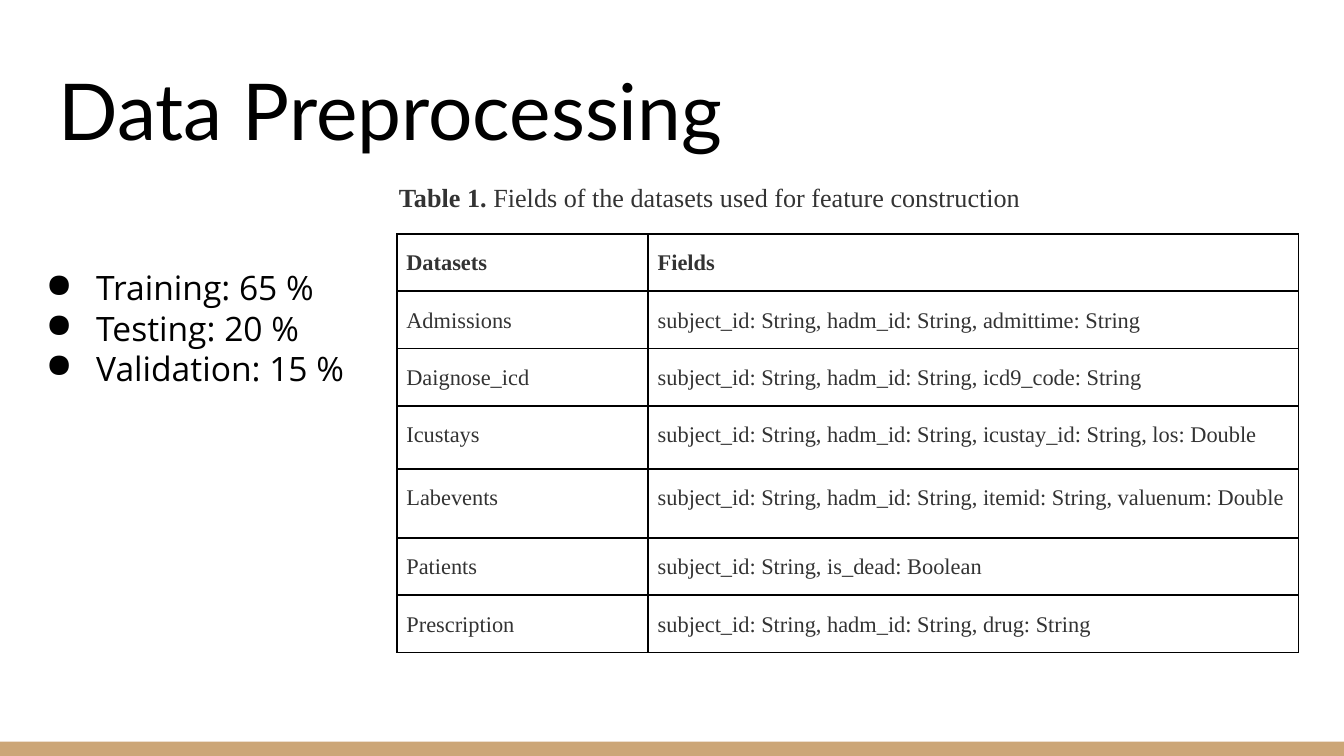
from lxml.etree import SubElement
from pptx import Presentation
from pptx.dml.color import RGBColor
from pptx.enum.shapes import MSO_SHAPE
from pptx.enum.text import MSO_ANCHOR
from pptx.oxml import parse_xml
from pptx.oxml.ns import nsdecls, qn
from pptx.util import Cm, Pt

BLACK = RGBColor(0x00, 0x00, 0x00)
CHARCOAL = RGBColor(0x33, 0x33, 0x33)
TAN = RGBColor(0xCC, 0xA6, 0x77)
SERIF = "Times New Roman"

FIELDS = [
    ("Datasets", "Fields"),
    ("Admissions", "subject_id: String, hadm_id: String, admittime: String"),
    ("Daignose_icd", "subject_id: String, hadm_id: String, icd9_code: String"),
    ("Icustays", "subject_id: String, hadm_id: String, icustay_id: String, los: Double"),
    ("Labevents", "subject_id: String, hadm_id: String, itemid: String, valuenum: Double"),
    ("Patients", "subject_id: String, is_dead: Boolean"),
    ("Prescription", "subject_id: String, hadm_id: String, drug: String"),
]
COLUMN_WIDTHS = [4.75, 12.29]
ROW_HEIGHT = 1.05
TALL_ROWS = {"Icustays": 1.19, "Labevents": 1.3}
SPLITS = [("Training", 65), ("Testing", 20), ("Validation", 15)]


def set_font(paragraph, name, size, color, bold=None):
    font = paragraph.font
    font.name, font.size, font.bold = name, Pt(size), bold
    font.color.rgb = color


def add_text_frame(slide, left, top, width, height, anchor=MSO_ANCHOR.TOP):
    frame = slide.shapes.add_textbox(Cm(left), Cm(top), Cm(width), Cm(height)).text_frame
    frame.word_wrap = True
    frame.vertical_anchor = anchor
    frame.margin_left = frame.margin_right = Cm(0.25)
    frame.margin_top = frame.margin_bottom = Cm(0.25)
    return frame


def add_footer_band(slide):
    band = slide.shapes.add_shape(MSO_SHAPE.RECTANGLE, 0, Cm(14.02), Cm(25.4), Cm(0.27))
    band.shadow.inherit = False
    band.fill.solid()
    band.fill.fore_color.rgb = TAN
    band.line.fill.background()


def add_title(slide, text):
    title = add_text_frame(slide, 0.86, 0.89, 23.67, 2.31, MSO_ANCHOR.BOTTOM).paragraphs[0]
    title.text = text
    set_font(title, "Lato", 42, BLACK)


def add_caption(slide, label, description):
    caption = add_text_frame(slide, 7.29, 3.18, 12.7, 1.3).paragraphs[0]
    caption.add_run().text = label
    caption.runs[0].font.bold = True
    caption.add_run().text = description
    set_font(caption, SERIF, 14, CHARCOAL)


def add_bullet(paragraph):
    properties = paragraph._p.get_or_add_pPr()
    properties.set("marL", str(Cm(1.27)))
    properties.set("indent", str(-Cm(0.95)))
    bullet_color = SubElement(properties, qn("a:buClr"))
    SubElement(bullet_color, qn("a:srgbClr"), val=str(BLACK))
    SubElement(properties, qn("a:buChar"), char="●")


def add_split_list(slide):
    frame = add_text_frame(slide, 0.3, 4.8, 7.19, 3.2)
    for index, (name, percent) in enumerate(SPLITS):
        split = frame.add_paragraph() if index else frame.paragraphs[0]
        split.text = f"{name}: {percent} %"
        add_bullet(split)
        set_font(split, "Open Sans", 18, BLACK)


def add_borders(cell):
    properties = cell._tc.get_or_add_tcPr()
    for position, side in enumerate(("lnL", "lnR", "lnT", "lnB")):
        border = parse_xml(
            f'<a:{side} {nsdecls("a")} w="{Pt(1)}"><a:solidFill>'
            f'<a:srgbClr val="{BLACK}"/></a:solidFill></a:{side}>'
        )
        properties.insert(position, border)


def fill_cell(cell, text, bold):
    cell.margin_left = cell.margin_right = Cm(0.18)
    cell.margin_top = cell.margin_bottom = Cm(0.25)
    cell.fill.background()
    add_borders(cell)
    entry = cell.text_frame.paragraphs[0]
    entry.text = text
    entry.line_spacing = 1.15
    set_font(entry, SERIF, 12, CHARCOAL, bold)


def add_fields_table(slide):
    heights = [TALL_ROWS.get(dataset, ROW_HEIGHT) for dataset, _ in FIELDS]
    table = slide.shapes.add_table(
        len(FIELDS), len(COLUMN_WIDTHS), Cm(7.5), Cm(4.42),
        Cm(sum(COLUMN_WIDTHS)), Cm(sum(heights)),
    ).table
    table.first_row = table.horz_banding = False
    for column, width in zip(table.columns, COLUMN_WIDTHS):
        column.width = Cm(width)
    for index, (row, height, entries) in enumerate(zip(table.rows, heights, FIELDS)):
        row.height = Cm(height)
        for cell, text in zip(row.cells, entries):
            fill_cell(cell, text, bold=index == 0)


def main():
    deck = Presentation()
    deck.slide_width, deck.slide_height = Cm(25.4), Cm(14.29)
    slide = deck.slides.add_slide(deck.slide_layouts[6])
    add_footer_band(slide)
    add_title(slide, "Data Preprocessing")
    add_fields_table(slide)
    add_caption(slide, "Table 1.", " Fields of the datasets used for feature construction")
    add_split_list(slide)
    deck.save("out.pptx")


if __name__ == "__main__":
    main()
